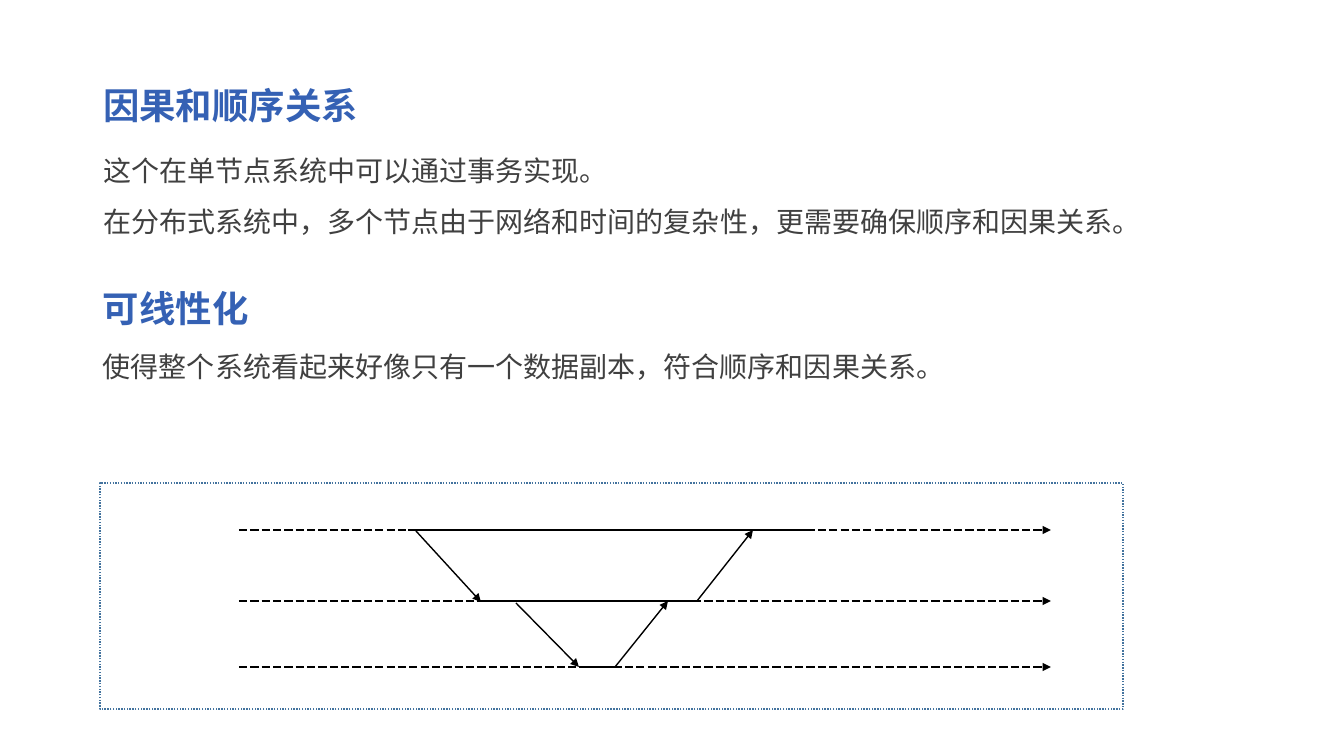
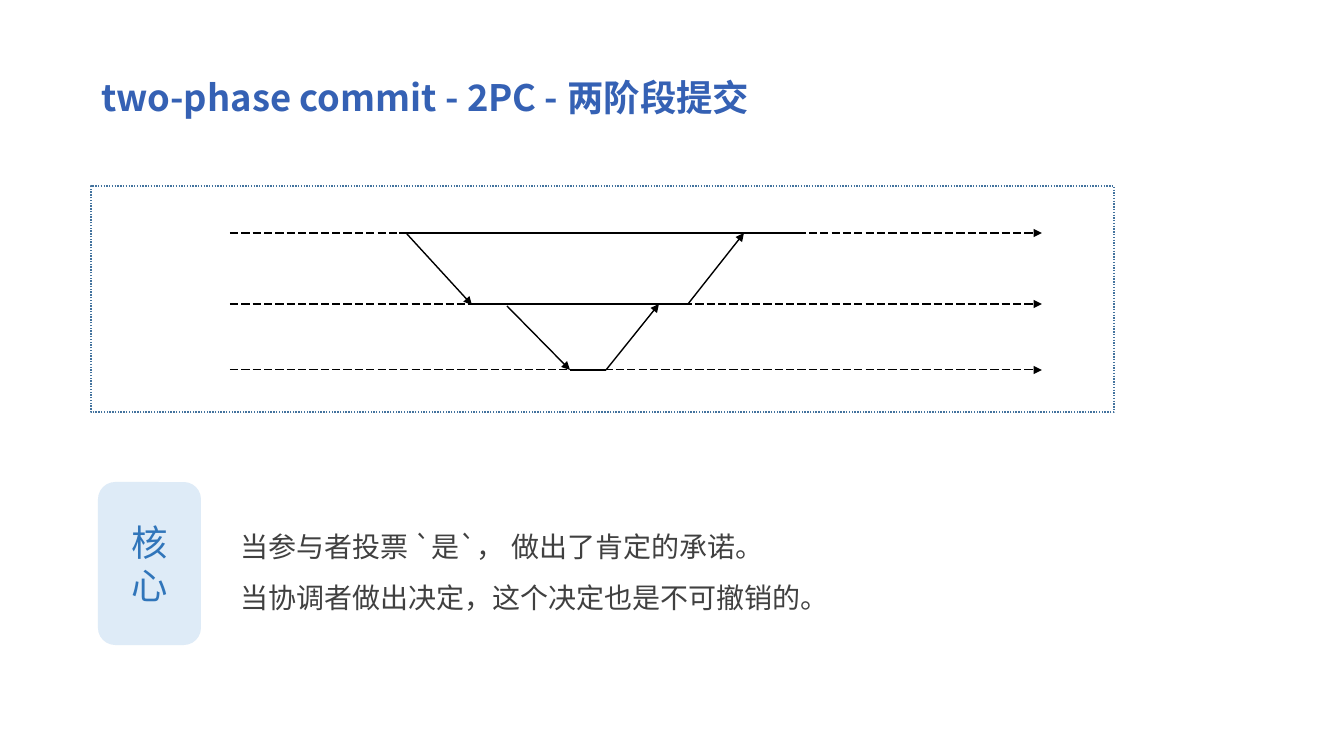
from pptx import Presentation
from pptx.dml.color import RGBColor
from pptx.enum.dml import MSO_LINE
from pptx.enum.shapes import MSO_CONNECTOR, MSO_SHAPE
from pptx.enum.text import MSO_ANCHOR, MSO_AUTO_SIZE, PP_ALIGN
from pptx.oxml.ns import qn
from pptx.util import Emu, Pt
from lxml.etree import SubElement

# Shared look
SCALE = 914400 / 100.8
FONT = "Noto Sans CJK SC"
BLACK, FRAME_BLUE, BADGE_FILL = "000000", "43739E", "DEEBF7"
HEADING = {"size": 26, "bold": True, "color": "3561B4", "spacing": 1.0}
SENTENCE = {"size": 20, "bold": False, "color": "404040", "spacing": 1.0}
BODY = {**SENTENCE, "spacing": 1.5}
BADGE = {"size": 26, "bold": False, "color": "3075BA", "spacing": 1.0,
         "align": PP_ALIGN.CENTER, "anchor": MSO_ANCHOR.MIDDLE}


def px(*lengths):
    return [Emu(round(length * SCALE)) for length in lengths]


def write(shape, box, style, *lines):
    shape.left, shape.top, shape.width, shape.height = px(*box)
    frame = shape.text_frame
    frame.text = "\n".join(lines)
    frame_format = {"word_wrap": True, "auto_size": MSO_AUTO_SIZE.NONE,
                    "vertical_anchor": style.get("anchor", MSO_ANCHOR.TOP)}
    line_format = {"alignment": style.get("align", PP_ALIGN.LEFT),
                   "line_spacing": style["spacing"], "space_before": Pt(0)}
    font_format = {"name": FONT, "size": Pt(style["size"]), "bold": style["bold"]}
    for name, value in frame_format.items():
        setattr(frame, name, value)
    for line in frame.paragraphs:
        for name, value in line_format.items():
            setattr(line, name, value)
        # No bullet and no hanging indent
        properties = line._p.get_or_add_pPr()
        properties.set("marL", "0")
        properties.set("indent", "0")
        SubElement(properties, qn("a:buNone"))
        for run in line.runs:
            for name, value in font_format.items():
                setattr(run.font, name, value)
            run.font.color.rgb = RGBColor.from_string(style["color"])
            SubElement(run._r.get_or_add_rPr(), qn("a:ea")).set("typeface", FONT)


deck = Presentation()
deck.slide_width, deck.slide_height = px(1344, 756)
title_and_content = deck.slide_layouts[1]

# Slide 1: ordering and linearizability
ordering = deck.slides.add_slide(title_and_content)
write(ordering.shapes.title, (93, 78, 1091, 54), HEADING, "因果和顺序关系")
write(ordering.placeholders[1], (93, 132, 1231, 112), BODY,
      "这个在单节点系统中可以通过事务实现。",
      "在分布式系统中，多个节点由于网络和时间的复杂性，更需要确保顺序和因果关系。")
for box, style, sentence in [
    ((93, 281, 1091, 54), HEADING, "可线性化"),
    ((93, 345, 1138, 44), SENTENCE, "使得整个系统看起来好像只有一个数据副本，符合顺序和因果关系。"),
]:
    write(ordering.shapes.add_textbox(*px(*box)), box, style, sentence)

# Slide 2: two-phase commit
commit = deck.slides.add_slide(title_and_content)
write(commit.shapes.title, (91, 70, 1138, 54), HEADING,
      "two-phase commit - 2PC - 两阶段提交")
write(commit.placeholders[1], (230, 508, 1040, 112), BODY,
      "当参与者投票 `是`， 做出了肯定的承诺。",
      "当协调者做出决定，这个决定也是不可撤销的。")
badge_box = (98, 482, 103, 163)
core_badge = commit.shapes.add_shape(MSO_SHAPE.ROUNDED_RECTANGLE, *px(*badge_box))
core_badge.shadow.inherit = False
core_badge.fill.solid()
core_badge.fill.fore_color.rgb = RGBColor.from_string(BADGE_FILL)
core_badge.line.fill.background()
core_badge.text_frame.margin_left, core_badge.text_frame.margin_right = px(20, 20)
write(core_badge, badge_box, BADGE, "核心")

# Message diagram: x1, y1, x2, y2 from the frame's corner
LANES = (47, 118, 184)
TOP, MIDDLE, BOTTOM = LANES
ACTIVE = [(308, TOP, 707, TOP), (381, MIDDLE, 597, MIDDLE), (479, BOTTOM, 515, BOTTOM)]
MESSAGES = [(316, TOP + 1, 381, MIDDLE + 1), (597, MIDDLE, 653, TOP),
            (416, MIDDLE + 2, 479, BOTTOM), (515, BOTTOM, 568, MIDDLE)]
# Ends, width, dash, arrowhead
strokes = [((139, y, 951, y), 0.75, MSO_LINE.LONG_DASH, True) for y in LANES]
strokes += [(ends, 1, MSO_LINE.SOLID, False) for ends in ACTIVE]
strokes += [(ends, 1, MSO_LINE.SOLID, True) for ends in MESSAGES]

for slide, left, top in [(ordering, 100, 483), (commit, 91, 186)]:
    border = slide.shapes.add_shape(MSO_SHAPE.RECTANGLE, *px(left, top, 1023, 226))
    border.shadow.inherit = False
    border.fill.background()
    border.line.color.rgb = RGBColor.from_string(FRAME_BLUE)
    border.line.width = Pt(1)
    border.line.dash_style = MSO_LINE.ROUND_DOT
    for (x1, y1, x2, y2), width, dash, arrow in strokes:
        stroke = slide.shapes.add_connector(
            MSO_CONNECTOR.STRAIGHT, *px(left + x1, top + y1, left + x2, top + y2))
        stroke.line.color.rgb = RGBColor.from_string(BLACK)
        stroke.line.width = Pt(width)
        stroke.line.dash_style = dash
        if arrow:
            SubElement(stroke.line._get_or_add_ln(), qn("a:tailEnd")).set("type", "triangle")
        SubElement(stroke._element.spPr, qn("a:effectLst"))

deck.save("out.pptx")
